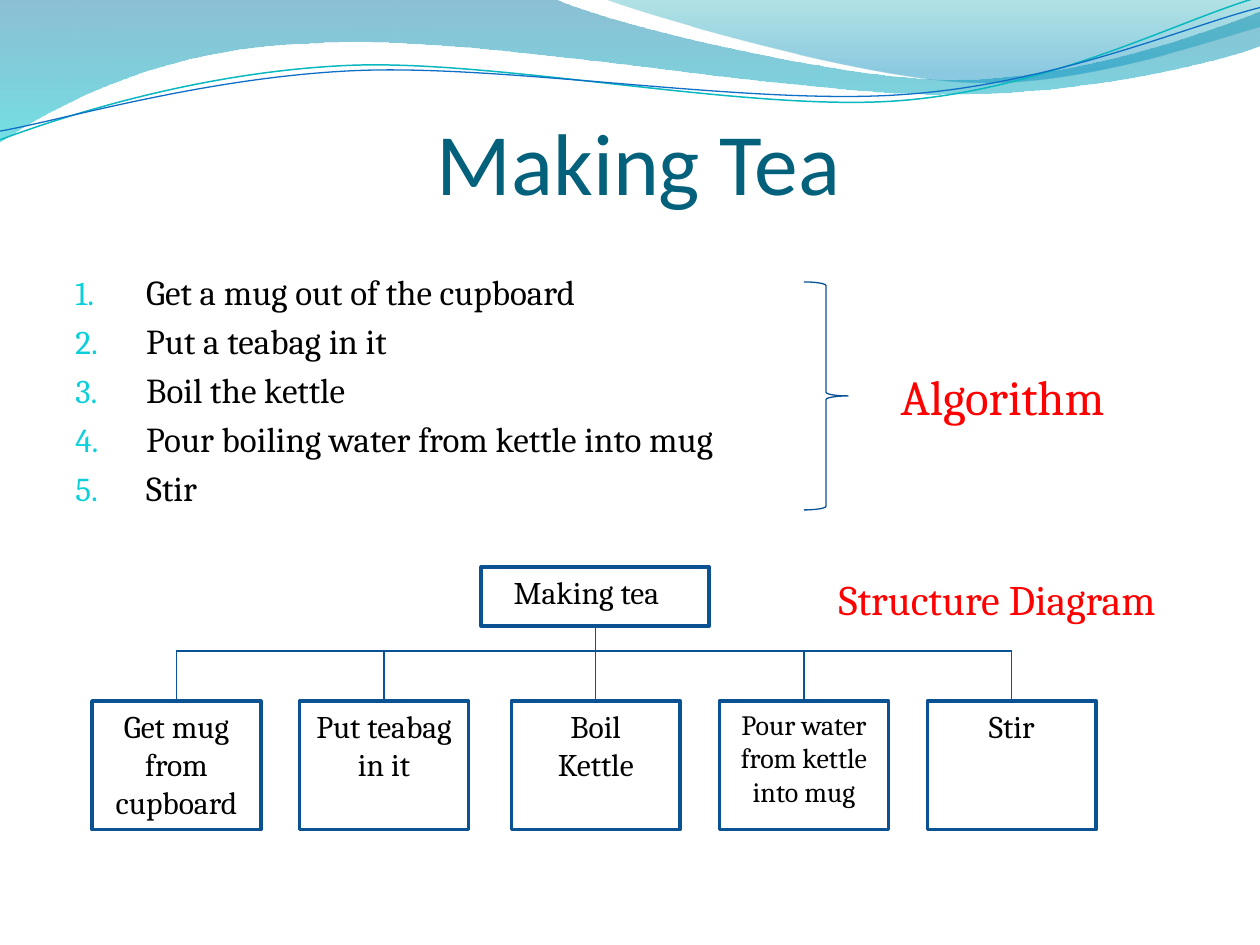
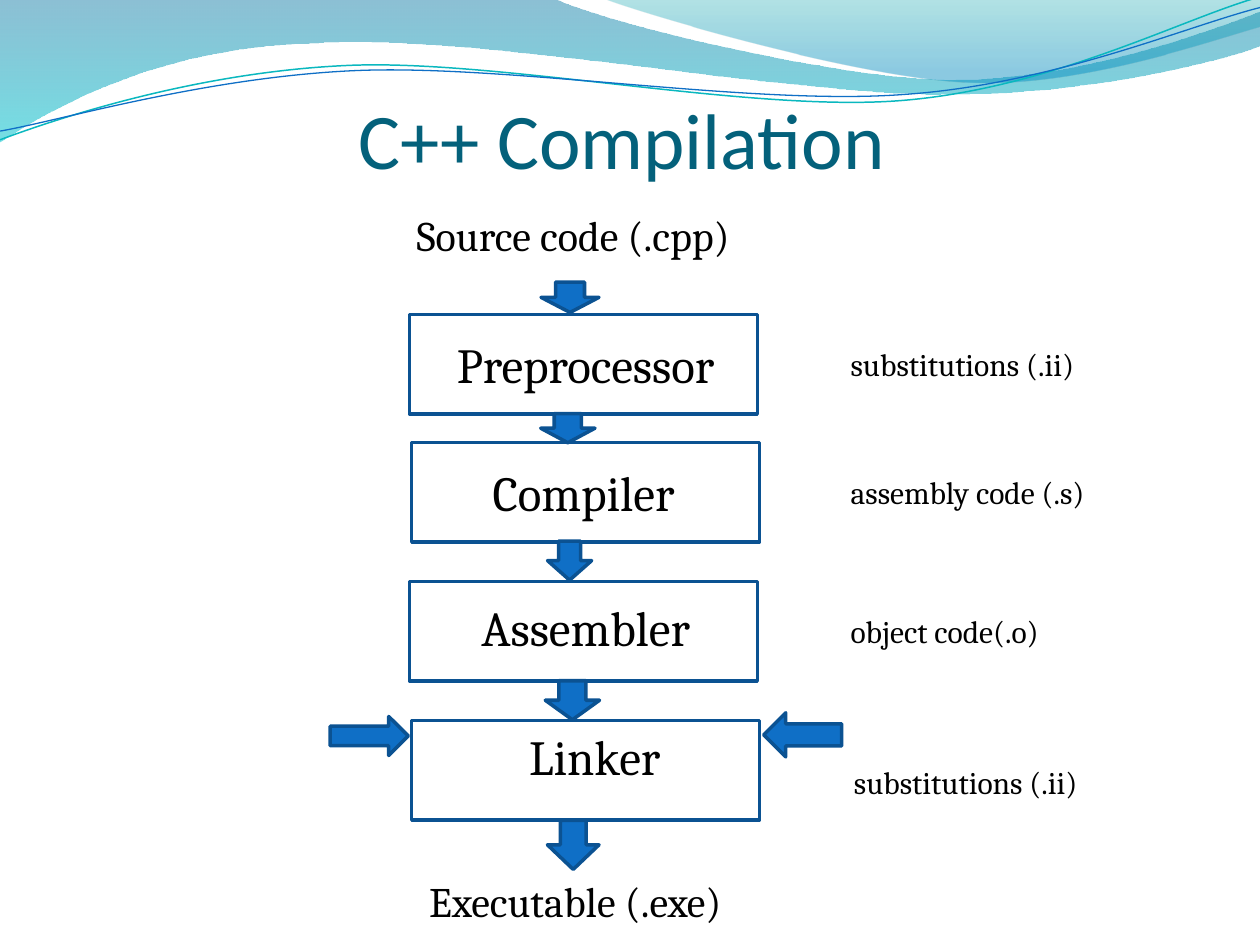
from lxml import etree
from pptx import Presentation, util as u
from pptx.dml.color import RGBColor
from pptx.enum import shapes as sh, text as tx
from pptx.oxml import ns

EDGE, WIRE, BLUE, TEAL = "0B5292", "095295", "0F6FC6", "04617B"
BLACK, RED = "000000", "FF0000"
SERIF, SANS = "Cambria", "Calibri"
LEFT, MID = tx.PP_ALIGN.LEFT, tx.PP_ALIGN.CENTER
KIND = sh.MSO_SHAPE

CREST = [(0, 0), (316.8, -0.7), (342.7, 12.2, 478.1, 45.4, 545.8, 45.4),
         (614.2, 45.4, 689.8, 18.7, 720, 6.5), (720.7, 25.9),
         (707.8, 31.7, 626.4, 54.7, 537.1, 54), (447.8, 54, 275, 20.2, 185, 24.5),
         (92.9, 25.9, 33.1, 59.8, -0.7, 81.4)]
SWELL = [(344.9, -0.7), (366.5, 7.9, 491, 44.6, 553.7, 46.8),
         (616.3, 49.7, 691.9, 23, 720, 15.1), (720, 0)]
UPPER = [(0, 79.9), (34.6, 67, 113.8, 41, 199.4, 37.4),
         (284.4, 33.8, 427, 64.1, 513.4, 57.6), (599.8, 51.1, 675.4, 10.8, 718.6, -1.4)]
LOWER = [(0, 74.9), (33.8, 69.1, 118.1, 43.9, 203.8, 40.3),
         (290.2, 36.7, 429.8, 60.5, 516.2, 54), (601.9, 48.2, 677.5, 15.1, 720, 4.3)]


def hue(code):
    return RGBColor.from_string(code)


def put(item, **vals):
    for name, val in vals.items():
        setattr(item, name, val)


def pts(*vals):
    return [u.Pt(val) for val in vals]


def sub(node, tag, **vals):
    return etree.SubElement(node, ns.qn(tag), vals)


def number(para, indent):
    props = para._p.get_or_add_pPr()
    props.set("marL", str(u.Pt(indent)))
    props.set("indent", str(u.Pt(-indent)))
    sub(sub(props, "a:buClr"), "a:srgbClr", val="0BD0D9")
    sub(props, "a:buSzPct", val="95000")
    sub(props, "a:buAutoNum", type="arabicPeriod")


def write(frame, lines, size, code=BLACK, face=SERIF, align=MID, indent=0, gap=0,
          inset=(7.2, 3.6, 7.2, 3.6), anchor=tx.MSO_ANCHOR.TOP):
    left, top, right, low = pts(*inset)
    put(frame, word_wrap=True, auto_size=tx.MSO_AUTO_SIZE.NONE, vertical_anchor=anchor,
        margin_left=left, margin_top=top, margin_right=right, margin_bottom=low)
    frame.text = "\n".join(lines)
    for k, para in enumerate(frame.paragraphs):
        if indent:
            number(para, indent)
        put(para, alignment=align, space_before=u.Pt(gap if k else 0))
        put(para.font, size=u.Pt(size), name=face)
        para.font.color.rgb = hue(code)


def label(page, box, lines, size, code=BLACK, align=LEFT, **vals):
    item = page.shapes.add_textbox(*pts(*box))
    write(item.text_frame, lines, size, code, align=align, **vals)


def stroke(item, code, width):
    item.line.color.rgb = hue(code)
    item.line.width = u.Pt(width)


def shape(page, box, kind, fill=None, width=2, edge=EDGE):
    item = page.shapes.add_shape(kind, *pts(*box))
    item.shadow.inherit = False
    if fill:
        item.fill.solid()
        item.fill.fore_color.rgb = hue(fill)
    else:
        item.fill.background()
    stroke(item, edge, width)
    return item


def wire(page, ends, start=None, stop=None):
    item = page.shapes.add_connector(sh.MSO_CONNECTOR.STRAIGHT, *pts(*ends))
    if start:
        item.begin_connect(start, 2)
    if stop:
        item.end_connect(stop, 0)
    stroke(item, WIRE, 0.75)
    sub(item.element.spPr, "a:effectLst")


def curve(page, steps, closed):
    spots = [tuple(pts(*step[k:k + 2])) for step in steps for k in range(0, len(step), 2)]
    pen = page.shapes.build_freeform(*spots[0])
    pen.add_line_segments(spots[1:], close=closed)
    item = pen.convert_to_shape()
    item.shadow.inherit = False
    legs = iter(list(item.element.spPr.iter(ns.qn("a:lnTo"))))
    for step in steps[1:]:
        leg = next(legs)
        if len(step) == 6:
            bend = etree.Element(ns.qn("a:cubicBezTo"))
            leg.addprevious(bend)
            for part in (leg, next(legs), next(legs)):
                bend.append(part[0])
                part.getparent().remove(part)
    return item


def waves(page, layout):
    fills = [(CREST, [(0, "0074A1", 45), (1, "00C6CF", 55)]),
             (SWELL, [(0, "00A1A9", 30), (0.8, "008BBF", 45)])]
    for steps, stops in fills:
        item = curve(page, steps, True)
        item.line.fill.background()
        item.fill.gradient()
        item.fill.gradient_angle = 270
        for stop, (place, code, _) in zip(item.fill.gradient_stops, stops):
            stop.position = place
            stop.color.rgb = hue(code)
        tones = list(item.element.spPr.iter(ns.qn("a:srgbClr")))
        for tone, (_, _, alpha) in zip(tones, stops):
            sub(tone, "a:alpha", val=str(alpha * 1000))
        layout.shapes.element.append(item.element)
    for steps, code, width in [(UPPER, "0AB8BF", 0.85), (LOWER, BLUE, 0.75)]:
        item = curve(page, steps, False)
        item.fill.background()
        stroke(item, code, width)
        layout.shapes.element.append(item.element)


def title(page, box, words, size):
    item = page.shapes.title
    put(item, **dict(zip(("left", "top", "width", "height"), pts(*box))))
    write(item.text_frame, [words], size, TEAL, SANS,
          inset=(0, 3.6, 0, 0), anchor=tx.MSO_ANCHOR.BOTTOM)


def recipe(page, box):
    left, top, width, height = box
    steps = ["Get a mug out of the cupboard", "Put a teabag in it", "Boil the kettle",
             "Pour boiling water from kettle into mug", "Stir"]
    label(page, box, steps, 20, indent=40.5, gap=4)
    shape(page, (left + 423.4, top + 9.9, 25.2, 130.3), KIND.RIGHT_BRACE,
          width=0.75, edge=WIRE)
    label(page, (left + 471.6, top + 54.7, 181.4, 41), ["Algorithm"], 28, RED)


def tree(page, box):
    left, top, width, height = box
    wide, tall, bar = 96.5, 73.4, top + 48
    leaves = [(0, ["Get mug from cupboard"], 18), (118.6, ["Put teabag in it"], 18),
              (239.6, ["Boil", "Kettle"], 18),
              (358.6, ["Pour water from kettle into mug"], 16), (477.3, ["Stir"], 18)]
    root = shape(page, (left + 222.4, top, 130.3, 33.8), KIND.RECTANGLE)
    write(root.text_frame, ["Making tea"], 18, align=LEFT, inset=(18.5, 3.6, 7.2, 3.6))
    hub = left + 222.4 + 130.3 / 2
    wire(page, (left + wide / 2, bar, left + width - wide / 2, bar))
    wire(page, (hub, top + 33.8, hub, bar), start=root)
    for x, lines, size in leaves:
        x, y = left + x, top + height - tall
        leaf = shape(page, (x, y, wide, tall), KIND.RECTANGLE)
        write(leaf.text_frame, lines, size)
        wire(page, (x + wide / 2, bar, x + wide / 2, y), stop=leaf)
    label(page, (left + 419.5, top, 216.7, 36), ["Structure Diagram"], 24, RED)


def flow(page, box):
    left, top, width, height = box
    stages = [("Preprocessor", 0, 63.7, 1.2, 7.8, "substitutions (.ii)", 244.9, 77.7),
              ("Compiler", 1.2, 136.8, -1.2, 7.9, "assembly code (.s)", 244.9, 151),
              ("Assembler", 0, 216.4, 1.2, 5.2, "object code(.o)", 244.9, 230.3),
              ("Linker", 1.2, 295.8, 5.2, 0, "substitutions (.ii)", 246.8, 316.3)]
    arrows = [(KIND.DOWN_ARROW, 75.1, 45.3, 33.1, 17.3),
              (KIND.DOWN_ARROW, 74.9, 120.4, 31, 16.6),
              (KIND.DOWN_ARROW, 78.8, 193.2, 25.2, 22.3),
              (KIND.DOWN_ARROW, 77.5, 273, 31, 22.3),
              (KIND.DOWN_ARROW, 78.7, 352.7, 29.5, 28.1),
              (KIND.RIGHT_ARROW, -45.4, 293.4, 44.6, 22.3),
              (KIND.LEFT_ARROW, 202.3, 291.3, 44.6, 25.2)]
    label(page, (left - 14.9, top + 0.3, 216.7, 36), ["Source code (.cpp)"], 24, align=MID)
    for name, x, y, shift, drop, note, far, low in stages:
        stage = shape(page, (left + x, top + y, width, 56.9), KIND.RECTANGLE)
        write(stage.text_frame, [name], 28,
              inset=(7.2 + shift, 3.6 + drop, 7.2 - shift, 0))
        label(page, (left + far, top + low, 170, 28.8), [note], 18)
    for kind, x, y, wide, tall in arrows:
        shape(page, (left + x, top + y, wide, tall), kind, BLUE)
    label(page, (left - 10.1, top + height - 36, 209.5, 36), ["Executable (.exe)"], 24,
          align=MID)


def main():
    deck = Presentation()
    put(deck, slide_width=u.Pt(720), slide_height=u.Pt(540))
    layout = deck.slide_layouts[5]
    tea, build = [deck.slides.add_slide(layout) for _ in range(2)]
    waves(tea, layout)
    title(tea, (41, 31.7, 648, 90), "Making Tea", 50)
    recipe(tea, (36, 151.2, 648, 345.6))
    tree(tea, (52.6, 324, 573.8, 150))
    title(build, (31.2, 49, 648, 56.9), "C++ Compilation", 45)
    flow(build, (234.1, 116, 198.7, 416.8))
    deck.save("out.pptx")


if __name__ == "__main__":
    main()
